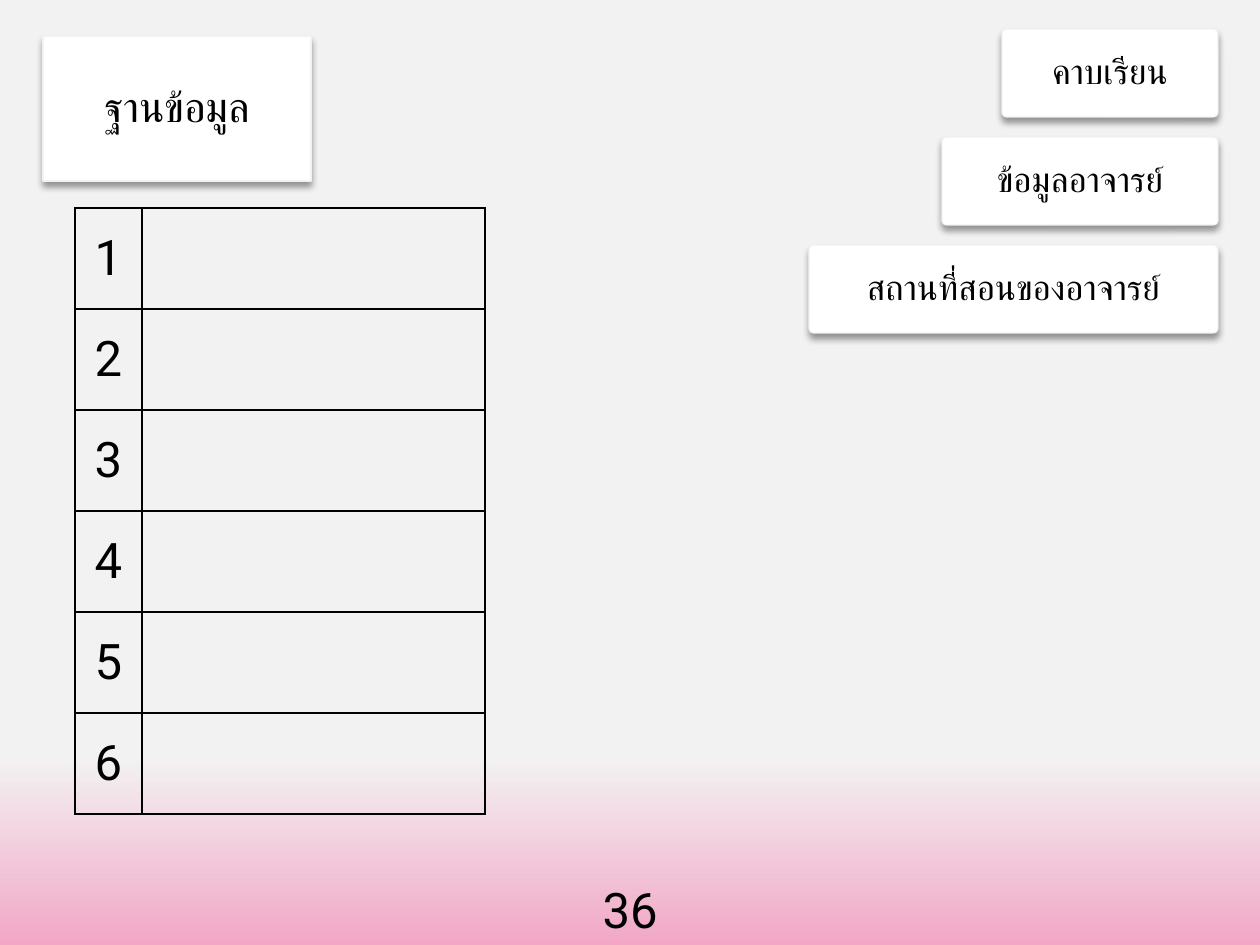
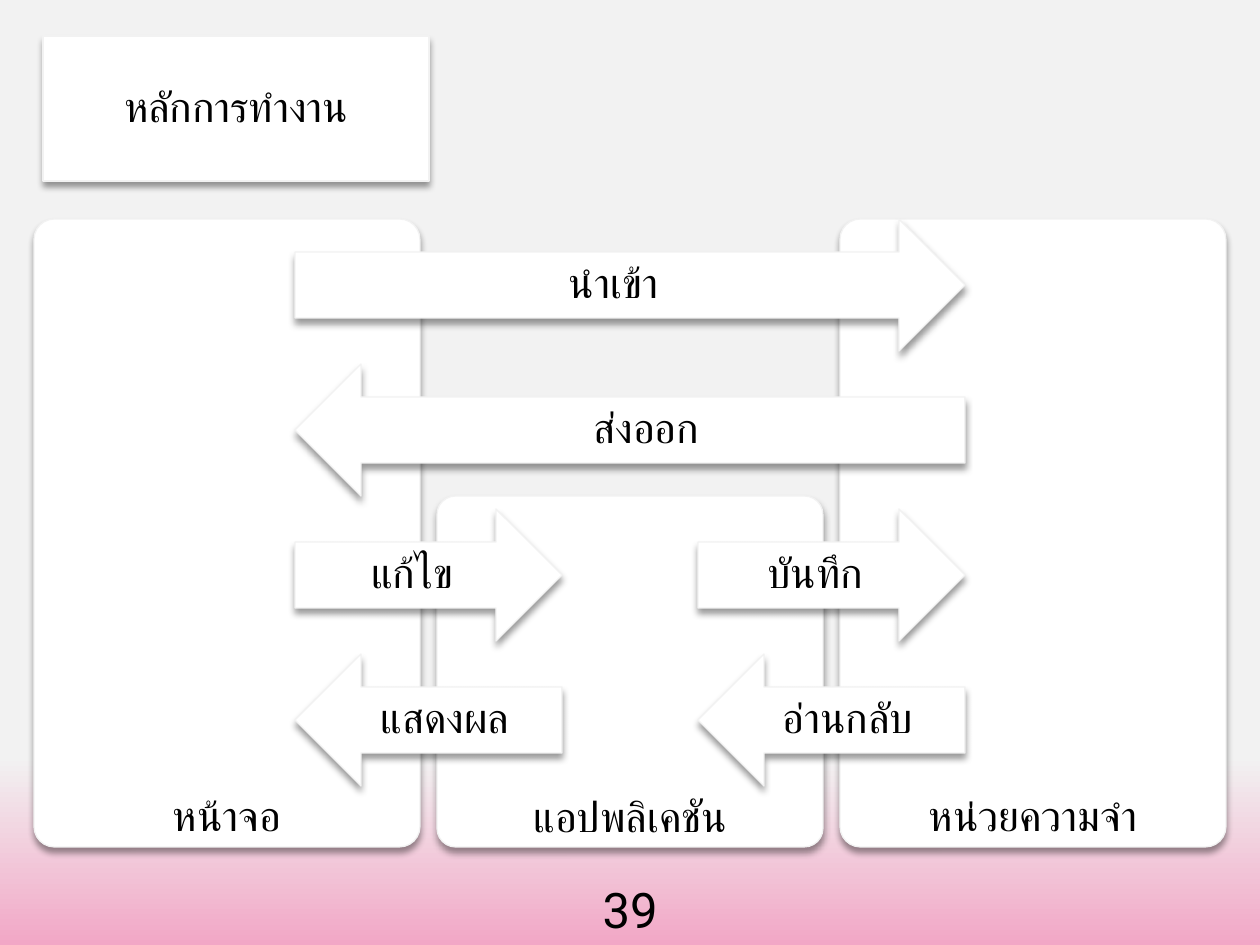
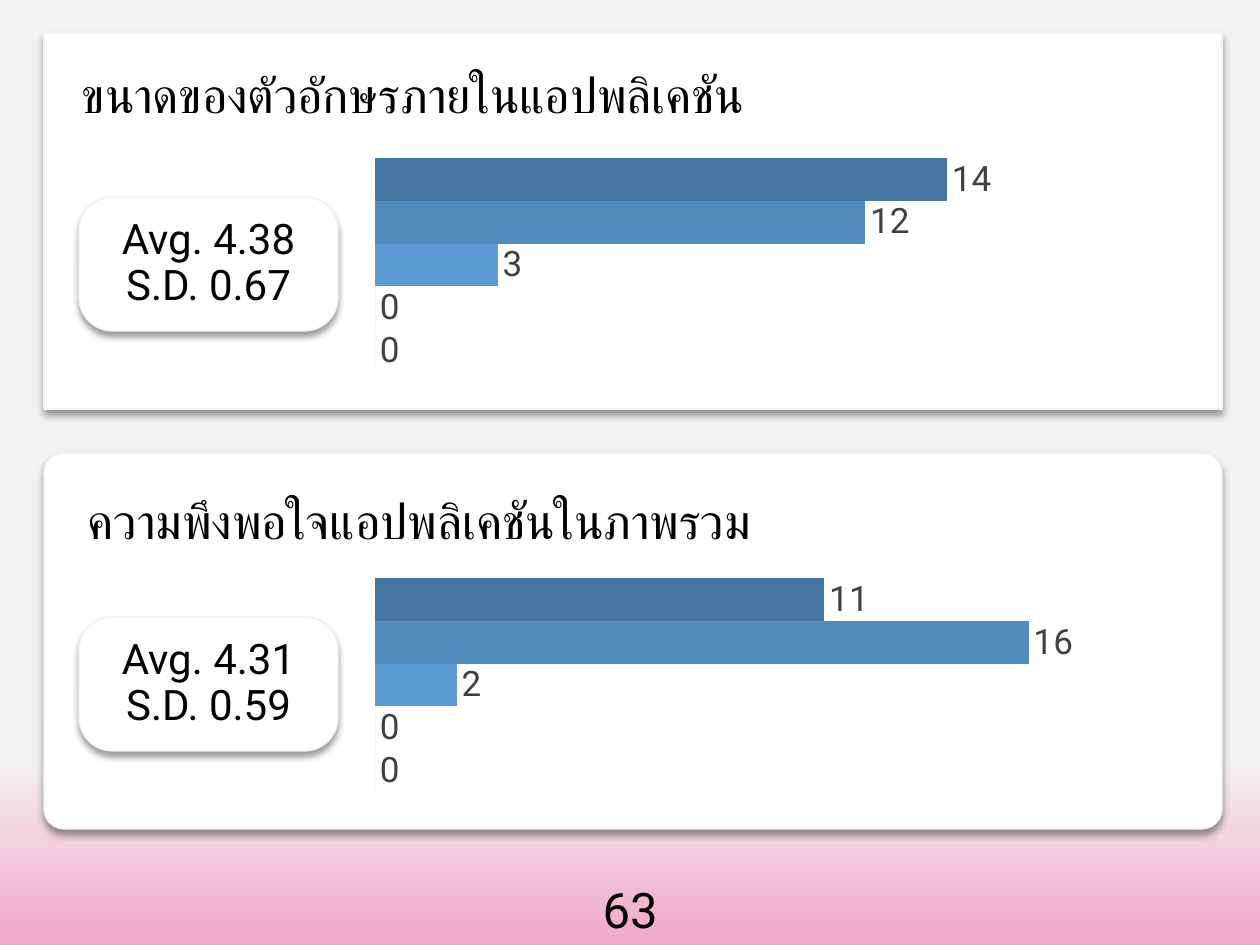
from dataclasses import dataclass

from lxml import etree
from pptx import Presentation
from pptx import util as u
from pptx.chart import data as chart_data
from pptx.dml import color
from pptx.enum import chart as charts, shapes, text
from pptx.oxml import ns

DATABASE = {
    "page": "36",
    "title": ("ฐานข้อมูล", 268),
    "rows": ["1", "2", "3", "4", "5", "6"],
    "tags": [("คาบเรียน", 216), ("ข้อมูลอาจารย์", 276), ("สถานที่สอนของอาจารย์", 409)],
}
PRINCIPLE = {
    "page": "39",
    "title": ("หลักการทำงาน", 386),
    "stages": [("หน้าจอ", 219), ("แอปพลิเคชัน", 496), ("หน่วยความจำ", 219)],
    "flows": [
        ("นำเข้า", 0, 0, 2, False),
        ("ส่งออก", 1, 0, 2, True),
        ("แก้ไข", 2, 0, 1, False),
        ("บันทึก", 2, 1, 1, False),
        ("แสดงผล", 3, 0, 1, True),
        ("อ่านกลับ", 3, 1, 1, True),
    ],
}
SURVEY = {
    "page": "63",
    "questions": [
        ("ขนาดของตัวอักษรภายในแอปพลิเคชัน", "Avg. 4.38\nS.D. 0.67", [0, 0, 3, 12, 14]),
        ("ความพึงพอใจแอปพลิเคชันในภาพรวม", "Avg. 4.31\nS.D. 0.59", [0, 0, 2, 16, 11]),
    ],
}


@dataclass(frozen=True)
class Theme:
    font: str = "Roboto"
    ink: str = "000000"
    card: str = "FFFFFF"
    edge: str = "F2F2F2"
    glow: str = "F2A7C6"
    label: str = "404040"
    bars: tuple = ("BED1EA", "98B8E0", "5B9BD5", "518ABD", "4576A2")
    small: int = 20
    body: int = 24
    large: int = 28


THEME = Theme()
BOX = shapes.MSO_SHAPE.RECTANGLE
ROUND = shapes.MSO_SHAPE.ROUNDED_RECTANGLE
ARROW = shapes.MSO_SHAPE.RIGHT_ARROW
CENTER, LEFT = text.PP_ALIGN.CENTER, text.PP_ALIGN.LEFT
TOP, MIDDLE, BOTTOM = text.MSO_ANCHOR.TOP, text.MSO_ANCHOR.MIDDLE, text.MSO_ANCHOR.BOTTOM
PAD = 38


def px(length):
    return u.Emu(round(length * 914400 / 126))


def rgb(value):
    return color.RGBColor.from_string(value)


def add(parent, tag, **attributes):
    return etree.SubElement(parent, ns.qn(tag), {k: str(v) for k, v in attributes.items()})


def set_font(font, size, ink=THEME.ink):
    font.name, font.size = THEME.font, u.Pt(size)
    font.color.rgb = rgb(ink)


def write(frame, words, size=THEME.body, align=CENTER, spacing=None):
    paragraph = frame.paragraphs[0]
    paragraph.text = words
    paragraph.alignment = align
    if spacing:
        paragraph.line_spacing = spacing
    for run in paragraph.runs:
        set_font(run.font, size)
        add(run.font._element, "a:cs", typeface=THEME.font)


def add_card(slide, words, area, kind=ROUND, corner=0.053, pad=PAD, anchor=MIDDLE, flip=False, **style):
    card = slide.shapes.add_shape(kind, *map(px, area))
    if kind == ROUND:
        card.adjustments[0] = corner
    card.fill.solid()
    card.fill.fore_color.rgb = rgb(THEME.card)
    card.line.color.rgb = rgb(THEME.edge)
    card.line.width = u.Pt(0.75)
    card.shadow.inherit = False
    properties = card._element.spPr
    shadow = add(properties.find(ns.qn("a:effectLst")), "a:outerShdw", blurRad=u.Pt(4),
                 dist=u.Pt(3), dir=5400000, algn="t", rotWithShape=0)
    add(add(shadow, "a:srgbClr", val=THEME.ink), "a:alpha", val=40000)
    if flip:
        properties.get_or_add_xfrm().set("flipH", "1")
    frame = card.text_frame
    frame.word_wrap = True
    frame.vertical_anchor = anchor
    frame.margin_left = frame.margin_right = frame.margin_top = frame.margin_bottom = px(pad)
    write(frame, words, spacing=0.9, **style)


def add_page(prs, content):
    slide = prs.slides.add_slide(prs.slide_layouts[6])
    number = slide.shapes.add_textbox(*map(px, (546, 873, 168, 66))).text_frame
    number.word_wrap = True
    number.auto_size = text.MSO_AUTO_SIZE.SHAPE_TO_FIT_TEXT
    write(number, content["page"], size=THEME.large)
    if "title" in content:
        title, width = content["title"]
        add_card(slide, title, (43, 36, width, 145), kind=BOX)
    return slide


def add_rows(slide, numbers):
    widths, height = (67, 343), 101
    area = (75, 208, sum(widths), height * len(numbers))
    table = slide.shapes.add_table(len(numbers), len(widths), *map(px, area)).table
    table.first_row = table.horz_banding = False
    for column, width in zip(table.columns, widths):
        column.width = px(width)
    for row, number in zip(table.rows, numbers):
        row.height = px(height)
        for cell in row.cells:
            cell.vertical_anchor = MIDDLE
            for side in "LRTB":
                border = add(cell._tc.get_or_add_tcPr(), f"a:ln{side}", w=u.Pt(1))
                add(add(border, "a:solidFill"), "a:srgbClr", val=THEME.ink)
            cell.fill.background()
        write(row.cells[0].text_frame, number, size=THEME.large)


def add_scores(slide, scores, area):
    data = chart_data.CategoryChartData()
    data.categories = ["1"]
    for place, score in enumerate(scores, 1):
        data.add_series(f"Series {place}", [score])
    chart = slide.shapes.add_chart(charts.XL_CHART_TYPE.BAR_CLUSTERED, *map(px, area), data).chart
    chart.has_legend = chart.has_title = False
    set_font(chart.font, THEME.small)
    chart.category_axis.visible = chart.value_axis.visible = False
    chart.value_axis.has_major_gridlines = False
    chart.value_axis.minimum_scale, chart.value_axis.maximum_scale = 0, 20
    plot = chart.plots[0]
    plot.gap_width, plot.vary_by_categories = 179, False
    for series, fill in zip(plot.series, THEME.bars):
        series.format.fill.solid()
        series.format.fill.fore_color.rgb = rgb(fill)
        labels = series.data_labels
        labels.show_value = True
        labels.position = charts.XL_LABEL_POSITION.OUTSIDE_END
        set_font(labels.font, THEME.small, THEME.label)
    plot_area = chart._chartSpace.chart.plotArea
    for layout in plot_area.findall(ns.qn("c:layout")):
        plot_area.remove(layout)
    layout = add(plot_area, "c:layout")
    plot_area.insert(0, layout)
    manual = add(layout, "c:manualLayout")
    for tag, value in (("layoutTarget", "inner"), ("xMode", "edge"), ("yMode", "edge"),
                       ("x", 0), ("y", 0), ("w", 1), ("h", 1)):
        add(manual, f"c:{tag}", val=value)


def build_database(prs):
    slide = add_page(prs, DATABASE)
    add_rows(slide, DATABASE["rows"])
    for place, (tag, width) in enumerate(DATABASE["tags"]):
        add_card(slide, tag, (1218 - width, 29 + 108 * place, width, 88), size=THEME.small)


def build_principle(prs):
    slide = add_page(prs, PRINCIPLE)
    pitch, lane, top, bottom = 403, 145, 219, 847
    for place, (stage, start) in enumerate(PRINCIPLE["stages"]):
        add_card(slide, stage, (34 + pitch * place, start, 386, bottom - start), pad=0, anchor=BOTTOM)
    for flow, row, column, span, back in PRINCIPLE["flows"]:
        area = (295 + pitch * column, top + lane * row, 267 + pitch * (span - 1), 132)
        add_card(slide, flow, area, kind=ARROW, flip=back)


def build_survey(prs):
    slide = add_page(prs, SURVEY)
    for place, (question, summary, scores) in enumerate(SURVEY["questions"]):
        top = 33 + 420 * place
        add_card(slide, question, (44, top, 1178, 376), kind=(BOX, ROUND)[place],
                 anchor=TOP, align=LEFT, size=THEME.large)
        add_card(slide, summary, (79, top + 164, 259, 134), corner=0.249, pad=0)
        add_scores(slide, scores, (375, top + 87, 817, 290))


def main():
    prs = Presentation()
    prs.slide_width, prs.slide_height = px(1260), px(945)
    backdrop = prs.slide_master.background.fill
    backdrop.gradient()
    backdrop.gradient_angle = 270
    for stop, position, tint in zip(backdrop.gradient_stops, (0.8, 1), (THEME.edge, THEME.glow)):
        stop.position, stop.color.rgb = position, rgb(tint)
    for build in (build_database, build_principle, build_survey):
        build(prs)
    prs.save("out.pptx")


if __name__ == "__main__":
    main()
